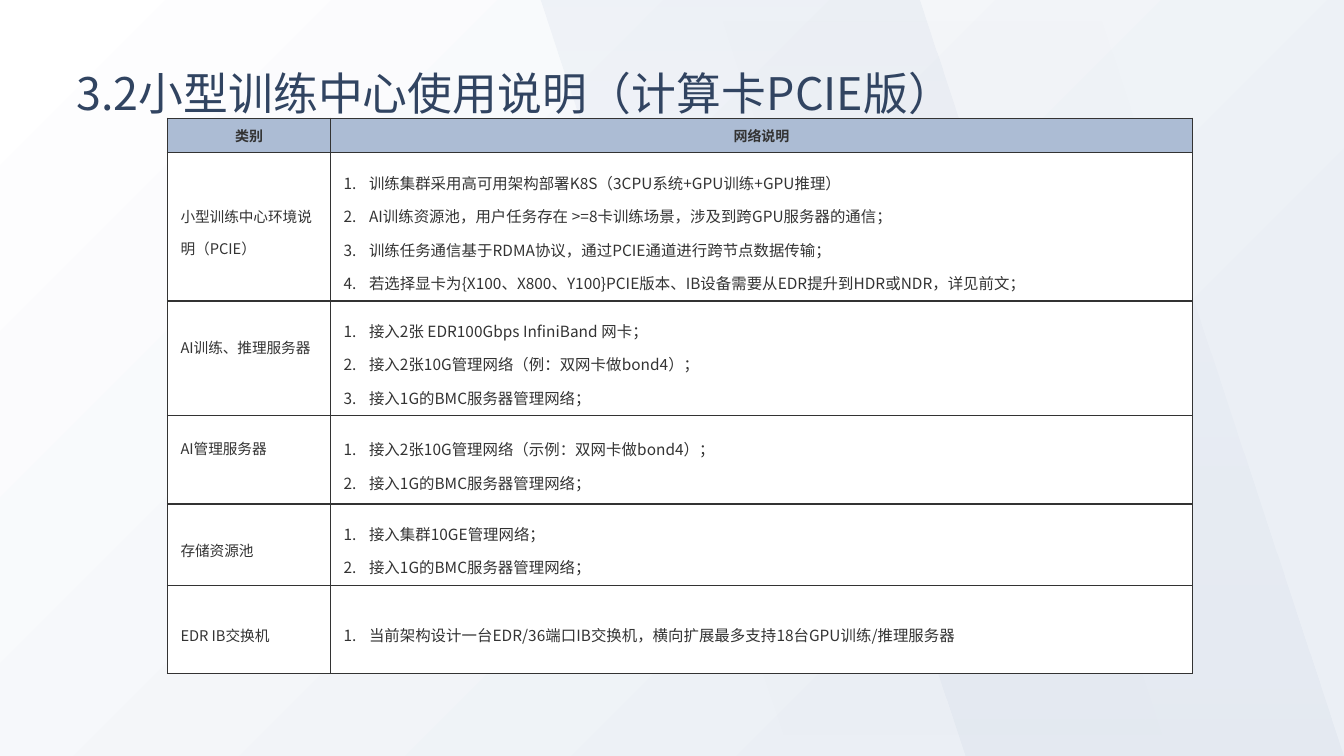
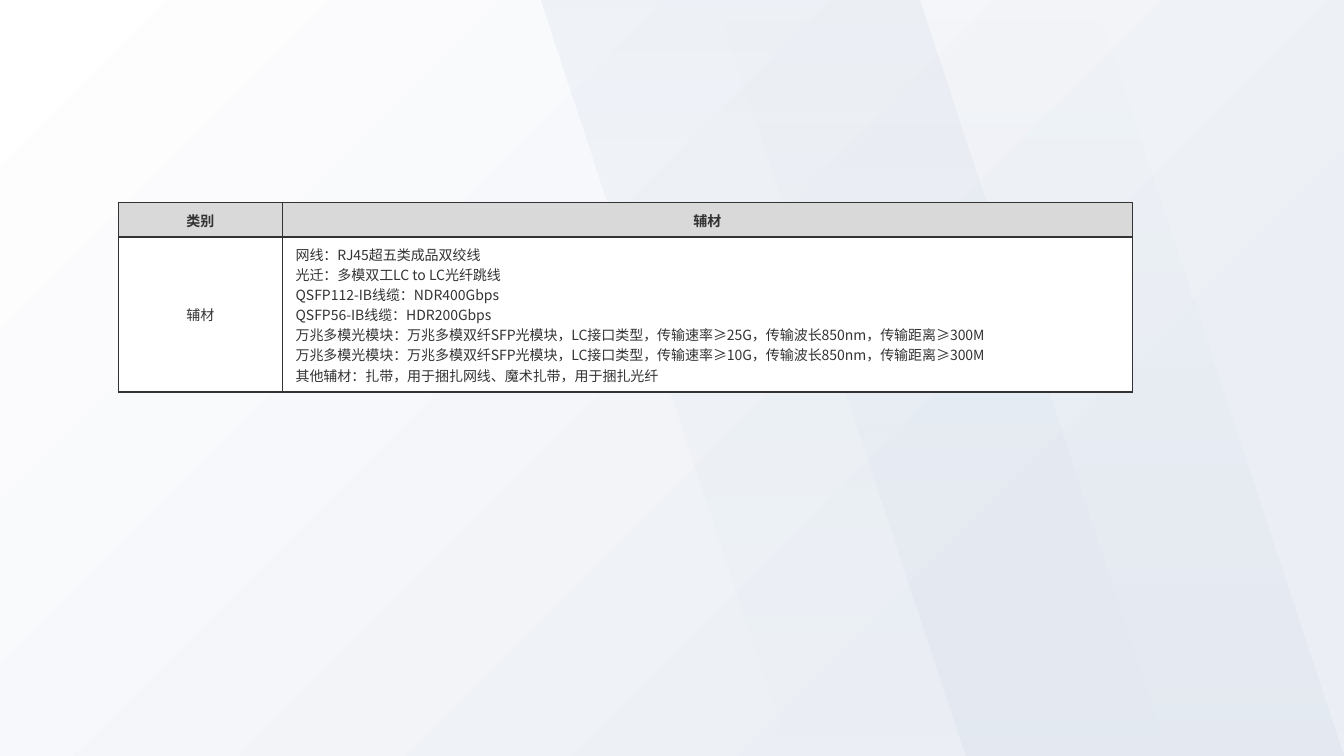
from dataclasses import dataclass

from lxml.etree import SubElement
from pptx import Presentation
from pptx.dml.color import RGBColor
from pptx.enum.shapes import MSO_SHAPE
from pptx.enum.text import MSO_ANCHOR, PP_ALIGN
from pptx.oxml import parse_xml
from pptx.oxml.ns import nsdecls, qn
from pptx.util import Cm, Pt


@dataclass(frozen=True)
class Theme:
    font: str = "Noto Sans CJK SC"
    ink: str = "333333"
    title_ink: str = "314461"
    white: str = "FFFFFF"
    backdrop: str = "EBEFF5"
    band: str = "CBD5E5"
    blue_header: str = "ACBCD4"
    grey_header: str = "D9D9D9"
    title_size: float = 32
    small_size: float = 10
    category_size: float = 10.5
    body_size: float = 11
    border: float = 1


THEME = Theme()
WIDTH, HEIGHT = Cm(33.87), Cm(19.05)
BAND_OUTLINE = [(0, 0), (9.55, 0), (15.83, 19.05), (6.3, 19.05)]
BANDS = [(13.61, 90), (18.03, 270)]

HEADER = {"size": THEME.small_size, "bold": True, "align": PP_ALIGN.CENTER}
CENTRED = {"size": THEME.small_size, "align": PP_ALIGN.CENTER}
PLAIN = {"size": THEME.small_size}
CATEGORY = {"size": THEME.category_size, "spacing": 1.5}
RAISED = {**CATEGORY, "bottom": 1.04}
NUMBERED = {"size": THEME.body_size, "spacing": 1.5, "numbered": True}

NETWORK_ROWS = [
    ("小型训练中心环境说明（PCIE）", CATEGORY, [
        "训练集群采用高可用架构部署K8S（3CPU系统+GPU训练+GPU推理）",
        "AI训练资源池，用户任务存在 >=8卡训练场景，涉及到跨GPU服务器的通信；",
        "训练任务通信基于RDMA协议，通过PCIE通道进行跨节点数据传输；",
        "若选择显卡为{X100、X800、Y100}PCIE版本、IB设备需要从EDR提升到HDR或NDR，详见前文；",
    ]),
    ("AI训练、推理服务器", RAISED, [
        "接入2张 EDR100Gbps InfiniBand 网卡；",
        "接入2张10G管理网络（例：双网卡做bond4）；",
        "接入1G的BMC服务器管理网络；",
    ]),
    ("AI管理服务器", RAISED, [
        "接入2张10G管理网络（示例：双网卡做bond4）；",
        "接入1G的BMC服务器管理网络；",
    ]),
    ("存储资源池", CATEGORY, [
        "接入集群10GE管理网络；",
        "接入1G的BMC服务器管理网络；",
    ]),
    ("EDR IB交换机", CATEGORY, [
        "当前架构设计一台EDR/36端口IB交换机，横向扩展最多支持18台GPU训练/推理服务器",
    ]),
]
OPTICAL_MODULE = "万兆多模光模块：万兆多模双纤SFP光模块，LC接口类型，传输速率≥{}，传输波长850nm，传输距离≥300M"
ACCESSORIES = [
    "网线：RJ45超五类成品双绞线",
    "光迁：多模双工LC to LC光纤跳线",
    "QSFP112-IB线缆：NDR400Gbps",
    "QSFP56-IB线缆：HDR200Gbps",
    *[OPTICAL_MODULE.format(rate) for rate in ("25G", "10G")],
    "其他辅材：扎带，用于捆扎网线、魔术扎带，用于捆扎光纤",
]


def apply(target, values):
    for name, value in values.items():
        setattr(target, name, value)


def write(frame, lines, size, color=THEME.ink, bold=False, align=PP_ALIGN.LEFT,
          spacing=1.0, numbered=False):
    for index, line in enumerate(lines):
        paragraph = frame.paragraphs[0] if index == 0 else frame.add_paragraph()
        apply(paragraph, {"alignment": align, "line_spacing": spacing})
        if numbered:
            properties = paragraph._p.get_or_add_pPr()
            properties.set("marL", str(Cm(0.64)))
            properties.set("indent", str(-Cm(0.64)))
            SubElement(properties, qn("a:buFont"), typeface="+mj-lt")
            SubElement(properties, qn("a:buAutoNum"), type="arabicPeriod")
        run = paragraph.add_run()
        run.text = line
        apply(run.font, {"name": THEME.font, "size": Pt(size), "bold": bold})
        run.font.color.rgb = RGBColor.from_string(color)
        SubElement(run._r.get_or_add_rPr(), qn("a:ea"), typeface=THEME.font)


def fill_gradient(shape, angle, stops):
    shape.shadow.inherit = False
    shape.line.fill.background()
    shape.fill.solid()
    marks = "".join(
        f'<a:gs pos="{pos * 1000}"><a:srgbClr val="{color}">'
        f'<a:alpha val="{alpha * 1000}"/></a:srgbClr></a:gs>'
        for pos, color, alpha in stops)
    gradient = parse_xml(
        f'<a:gradFill {nsdecls("a")} rotWithShape="1"><a:gsLst>{marks}</a:gsLst>'
        f'<a:lin ang="{angle * 60000}" scaled="0"/></a:gradFill>')
    properties = shape._element.spPr
    properties.replace(properties.find(qn("a:solidFill")), gradient)


def draw_backdrop(slide):
    base = slide.shapes.add_shape(MSO_SHAPE.RECTANGLE, 0, 0, WIDTH, HEIGHT)
    fill_gradient(base, 45, [(0, THEME.white, 100), (79, THEME.backdrop, 100)])
    for left, angle in BANDS:
        corners = [(Cm(left + x), Cm(y)) for x, y in BAND_OUTLINE]
        outline = slide.shapes.build_freeform(*corners[0])
        outline.add_line_segments(corners[1:], close=True)
        fill_gradient(outline.convert_to_shape(), angle,
                      [(0, THEME.band, 20), (100, THEME.band, 0)])


def draw_title(slide, text, left, top, width, height):
    title = slide.shapes.add_textbox(Cm(left), Cm(top), Cm(width), Cm(height))
    apply(title.text_frame, {
        "word_wrap": True, "vertical_anchor": MSO_ANCHOR.BOTTOM,
        "margin_left": 0, "margin_right": 0, "margin_top": 0, "margin_bottom": 0})
    write(title.text_frame, [text], THEME.title_size, THEME.title_ink)


def fill_cell(cell, lines, fill, bottom=0.18, **style):
    apply(cell, {
        "margin_left": Cm(0.33), "margin_right": Cm(0.33), "margin_top": Cm(0.18),
        "margin_bottom": Cm(bottom), "vertical_anchor": MSO_ANCHOR.MIDDLE})
    properties = cell._tc.get_or_add_tcPr()
    for side in ("lnL", "lnR", "lnT", "lnB"):
        edge = SubElement(properties, qn(f"a:{side}"), w=str(Pt(THEME.border)))
        SubElement(SubElement(edge, qn("a:solidFill")), qn("a:srgbClr"), val=THEME.ink)
    cell.fill.solid()
    cell.fill.fore_color.rgb = RGBColor.from_string(fill)
    write(cell.text_frame, lines, **style)


def draw_table(slide, left, top, widths, heights, headings, header_fill, rows):
    table = slide.shapes.add_table(
        len(heights), len(widths), Cm(left), Cm(top),
        Cm(sum(widths)), Cm(sum(heights))).table
    apply(table, {"first_row": False, "horz_banding": False})
    for column, width in zip(table.columns, widths):
        column.width = Cm(width)
    for row, height in zip(table.rows, heights):
        row.height = Cm(height)
    for cell, heading in zip(table.rows[0].cells, headings):
        fill_cell(cell, [heading], header_fill, **HEADER)
    for number, contents in enumerate(rows, 1):
        for cell, (lines, style) in zip(table.rows[number].cells, contents):
            fill_cell(cell, lines, THEME.white, **style)


def build_network_slide(slide):
    draw_backdrop(slide)
    draw_table(slide, 4.22, 2.98, [4.11, 21.72], [0.85, 3.73, 2.87, 2.22, 2.04, 2.22],
               ["类别", "网络说明"], THEME.blue_header,
               [[([category], style), (notes, NUMBERED)]
                for category, style, notes in NETWORK_ROWS])
    draw_title(slide, "3.2小型训练中心使用说明（计算卡PCIE版）", 1.93, 0.99, 30, 2.01)


def build_accessory_slide(slide):
    draw_backdrop(slide)
    draw_table(slide, 2.98, 5.11, [4.14, 21.41], [0.86, 3.91],
               ["类别", "辅材"], THEME.grey_header,
               [[(["辅材"], CENTRED), (ACCESSORIES, PLAIN)]])


def main():
    presentation = Presentation()
    apply(presentation, {"slide_width": WIDTH, "slide_height": HEIGHT})
    for build in (build_network_slide, build_accessory_slide):
        build(presentation.slides.add_slide(presentation.slide_layouts[6]))
    presentation.save("out.pptx")


if __name__ == "__main__":
    main()
